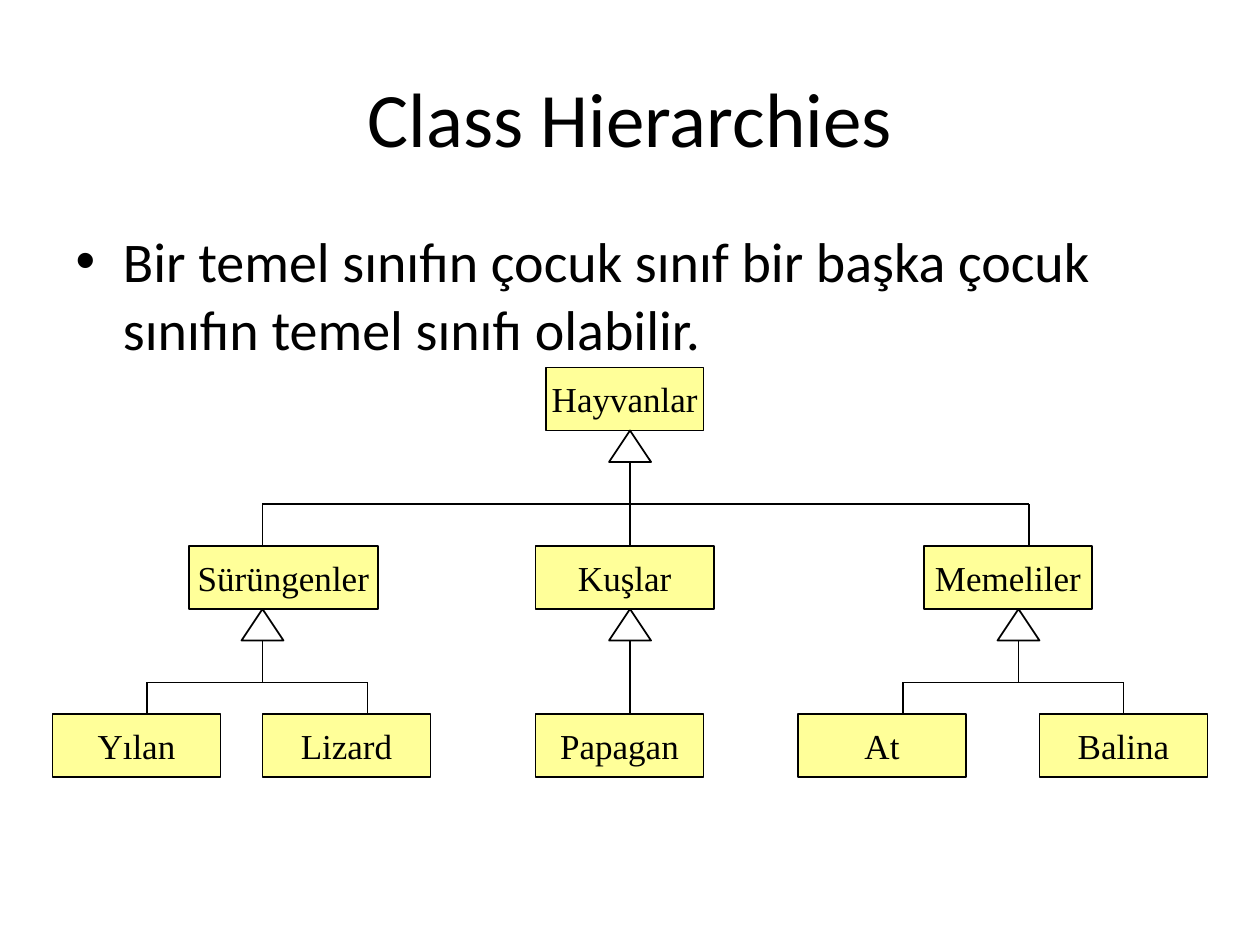
from lxml.etree import SubElement
from pptx import Presentation
from pptx.dml.color import RGBColor
from pptx.enum.shapes import MSO_CONNECTOR, MSO_SHAPE
from pptx.enum.text import MSO_ANCHOR, PP_ALIGN
from pptx.oxml.ns import qn
from pptx.util import Inches, Pt

deck = Presentation()
deck.slide_width, deck.slide_height = Inches(10), Inches(7.5)
page = deck.slides.add_slide(deck.slide_layouts[1])
CELL = deck.slide_width / 120  # grid of 120 columns by 90 rows


def grid(*cells):
    return [round(cell * CELL) for cell in cells]


def color(hex_code):
    return RGBColor.from_string(hex_code)


def write(frame, text, font="Calibri", size=32, align=PP_ALIGN.LEFT,
          anchor=MSO_ANCHOR.TOP, wrap=True):
    frame.word_wrap = wrap
    frame.vertical_anchor = anchor
    para = frame.paragraphs[0]
    para.alignment = align
    span = para.add_run()
    span.text = text
    span.font.name, span.font.size = font, Pt(size)
    span.font.color.rgb = color("000000")


# Title and body
title, body = page.placeholders
title.left, title.top, title.width, title.height = grid(6, 3.6, 108, 15)
body.left, body.top, body.width, body.height = grid(6, 21, 108, 59.4)
write(title.text_frame, "Class Hierarchies", size=44, align=PP_ALIGN.CENTER,
      anchor=MSO_ANCHOR.MIDDLE)
write(body.text_frame, "Bir temel sınıfın çocuk sınıf bir başka çocuk "
      "sınıfın temel sınıfı olabilir.")

# Class boxes: name, column, row, width in columns
classes = [
    ("Hayvanlar", 52, 35, 15),
    ("Sürüngenler", 18, 52, 18), ("Kuşlar", 51, 52, 17), ("Memeliler", 88, 52, 16),
    ("Yılan", 5, 68, 16), ("Lizard", 25, 68, 16), ("Papagan", 51, 68, 16),
    ("At", 76, 68, 16), ("Balina", 99, 68, 16),
]
outlined, boxes = [], {}
for name, column, row, width in classes:
    box = page.shapes.add_shape(MSO_SHAPE.RECTANGLE, *grid(column, row, width, 6))
    box.fill.solid()
    box.fill.fore_color.rgb = color("FFFF99")
    write(box.text_frame, name, font="Times New Roman", size=20,
          align=PP_ALIGN.CENTER, anchor=MSO_ANCHOR.MIDDLE, wrap=False)
    boxes[name] = box
    outlined.append(box)

# Branches: bar row, row of the child boxes, columns of the drops
connectors = []
for bar, child_row, drops in [(48, 52, (25, 60, 98)), (65, 68, (14, 35)),
                              (65, 68, (86, 107))]:
    ends = [(drops[0], bar, drops[-1], bar)]
    ends += [(column, bar, column, child_row) for column in drops]
    for end in ends:
        connectors.append(page.shapes.add_connector(MSO_CONNECTOR.STRAIGHT, *grid(*end)))
connectors[-1].end_connect(boxes["Balina"], 0)

# Inheritance arrows: column, row of the tip, row of the shaft's foot
for column, tip, foot in [(60, 41, 51), (60, 58, 68), (97, 58, 65), (25, 58, 65)]:
    arrow = page.shapes.add_group_shape()
    shaft = arrow.shapes.add_connector(MSO_CONNECTOR.STRAIGHT,
                                       *grid(column, foot, column, tip))
    shaft.line.color.rgb = color("000000")
    SubElement(shaft.line._get_or_add_ln(), qn("a:tailEnd"), type="triangle")
    connectors.append(shaft)
    head = arrow.shapes.add_shape(MSO_SHAPE.ISOSCELES_TRIANGLE,
                                  *grid(column - 2, tip, 4, 3))
    head.fill.solid()
    head.fill.fore_color.rgb = color("FFFFFF")
    outlined.append(head)

# Thin black lines without shadows
for shape in outlined + connectors:
    shape.line.color.rgb = color("000000")
    shape.line.width = Pt(1)
for shape in outlined:
    shape.shadow.inherit = False
for connector in connectors:
    SubElement(connector._element.spPr, qn("a:effectLst"))

deck.save("out.pptx")
